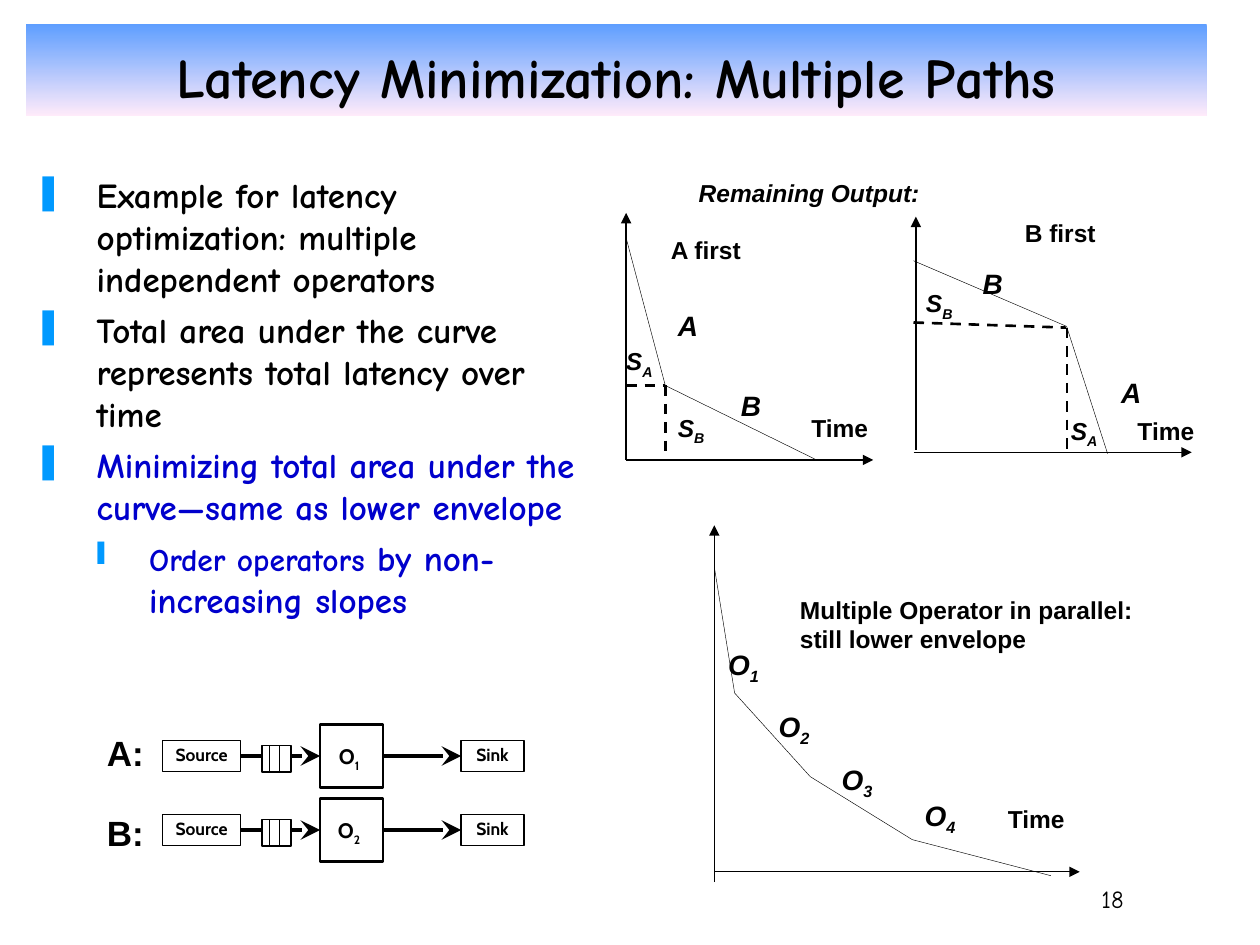
from dataclasses import dataclass
from itertools import pairwise

from lxml import etree
from pptx import Presentation
from pptx import util as u
from pptx.dml.color import RGBColor
from pptx.enum import dml, shapes, text
from pptx.oxml.ns import qn

Pt = u.Pt
Point = tuple[float, float]


@dataclass(frozen=True)
class Theme:
    ink: str = "000000"
    paper: str = "FFFFFF"
    accent: str = "0000CC"
    bullet: str = "0099FF"
    banner: tuple[str, str] = ("5E9EFF", "FFEBFA")
    prose: str = "Comic Neue"
    label: str = "Arial"
    node: str = "Cabin"
    title_size: float = 32
    body_size: float = 20
    sub_size: float = 18
    curve_size: float = 16
    label_size: float = 14
    operator_size: float = 12
    node_size: float = 10


THEME = Theme()


@dataclass(frozen=True)
class Label:
    words: str
    left: float
    top: float
    width: float = 48
    size: float = THEME.label_size
    subscript: str = ""
    italic: bool = False


@dataclass(frozen=True)
class Bullet:
    pieces: tuple[tuple[str, float], ...]
    color: str = THEME.ink
    level: int = 0


@dataclass(frozen=True)
class Plot:
    time_axis: tuple[Point, Point]
    output_axis: tuple[Point, Point]
    curve: tuple[Point, ...]
    guides: tuple[tuple[Point, Point], ...] = ()


@dataclass(frozen=True)
class Flow:
    name: str
    operator: str
    top: float
    name_top: float


BULLETS = (
    Bullet((("Example for latency optimization: multiple independent operators", THEME.body_size),)),
    Bullet((("Total area under the curve represents total latency over time", THEME.body_size),)),
    Bullet((("Minimizing total area under the curve—same as lower envelope", THEME.body_size),), THEME.accent),
    Bullet((("Order operators", THEME.sub_size), (" by non-increasing slopes", THEME.body_size)), THEME.accent, 1),
)
BULLET_LEVELS = (("❚", 36, 36), ("❙", 66, 30))  # character, margin, hanging

A_FIRST = Plot(
    ((357.8, 262.8), (499, 262.8)), ((357.8, 262.8), (357.8, 121.7)),
    ((357.8, 136), (380.2, 220.3), (466.6, 262.8)),
    (((357.8, 220.3), (380.2, 220.3)), ((380.2, 220.3), (380.2, 262.8))),
)
B_FIRST = Plot(
    ((522, 258.5), (681, 258.5)), ((523.4, 257), (523.4, 123.8)),
    ((522, 149), (609.5, 186.5), (632.9, 259.2)),
    (((609.8, 187.2), (609.8, 258.5)), ((522, 184.3), (609.1, 187.2))),
)
ENVELOPE = Plot(
    ((408.2, 498.2), (617, 498.2)), ((408.2, 504), (408.2, 300.2)),
    ((408.2, 324), (419.8, 396), (463, 443.8), (521.3, 479.8), (600.5, 500.4)),
)

LABELS = (
    Label("Remaining Output:", 392.2, 97.9, 150, italic=True),
    Label("A first", 376.2, 131, 70),
    Label("B first", 578.5, 121, 70),
    Label("Multiple Operator in parallel: still lower envelope", 450, 336.2, 221.8),
    *(Label("Time", left, top) for left, top in ((456.5, 232.6), (642.9, 234), (568.8, 455.8))),
    *(Label(name, left, top, size=THEME.curve_size, italic=True) for name, left, top in (
        ("A", 380.2, 172.8), ("B", 416.2, 218.2), ("A", 633.6, 211), ("B", 554.4, 149))),
    *(Label("S", left, top, subscript=name, italic=True) for name, left, top in (
        ("A", 350.6, 194.4), ("B", 380.2, 232.6), ("B", 522, 161.3), ("A", 604.8, 234))),
    *(Label("O", left, top, 54, THEME.curve_size, str(number), True) for number, (left, top) in enumerate(
        ((409, 366.5), (437.8, 401.8), (473.8, 432), (521.3, 452.9)), 1)),
)
FLOWS = (Flow("A:", "1", 414, 414.7), Flow("B:", "2", 456.3, 460))


def rgb(color: str) -> RGBColor:
    return RGBColor.from_string(color)


def style(run, size: float, face: str, color: str = THEME.ink, italic: bool = False) -> None:
    run.font.size, run.font.name = Pt(size), face
    run.font.bold, run.font.italic = True, italic
    run.font.color.rgb = rgb(color)


def write(paragraph, words: str, size: float, face: str, subscript: str = "", italic: bool = False) -> None:
    """Fill a paragraph with words and an optional lowered suffix."""
    paragraph.text = words
    if subscript:
        lowered = paragraph.add_run()
        lowered.text = subscript
        lowered._r.get_or_add_rPr().set("baseline", "-25000")
    for run in paragraph.runs:
        style(run, size, face, italic=italic)


def text_box(parent, left: float, top: float, width: float, height: float, wrap: bool = True):
    frame = parent.add_textbox(Pt(left), Pt(top), Pt(width), Pt(height)).text_frame
    frame.word_wrap = wrap
    return frame


def draw_label(parent, label: Label) -> None:
    frame = text_box(parent, label.left, label.top, label.width, 26, label.words != "Time")
    write(frame.paragraphs[0], label.words, label.size, THEME.label, label.subscript, label.italic)


def draw_line(parent, start: Point, end: Point, weight: float, head: str = "", size: str = "med",
              dashed: bool = False) -> None:
    line = parent.add_connector(shapes.MSO_CONNECTOR.STRAIGHT, *map(Pt, (*start, *end)))
    line.line.color.rgb = rgb(THEME.ink)
    line.line.width = Pt(weight)
    if dashed:
        line.line.dash_style = dml.MSO_LINE.DASH
    if head:
        etree.SubElement(line.line._get_or_add_ln(), qn("a:tailEnd"), type=head, w=size, len=size)
    etree.SubElement(line._element.spPr, qn("a:effectLst"))


def draw_box(parent, left: float, top: float, width: float, height: float, weight: float = 0.75):
    box = parent.add_shape(shapes.MSO_SHAPE.RECTANGLE, *map(Pt, (left, top, width, height)))
    box.shadow.inherit = False
    box.fill.solid()
    box.fill.fore_color.rgb = rgb(THEME.paper)
    if weight:
        box.line.color.rgb = rgb(THEME.ink)
        box.line.width = Pt(weight)
    else:
        box.line.fill.background()
    frame = box.text_frame
    frame.margin_left = frame.margin_right = frame.margin_top = frame.margin_bottom = Pt(2)
    frame.vertical_anchor = text.MSO_ANCHOR.TOP
    frame.paragraphs[0].alignment = text.PP_ALIGN.CENTER
    return box


def draw_plot(parent, plot: Plot) -> None:
    for axis in (plot.time_axis, plot.output_axis):
        draw_line(parent, *axis, 0.75, "triangle")
    for guide in plot.guides:
        draw_line(parent, *guide, 1.5, dashed=True)
    for start, end in pairwise(plot.curve):
        draw_line(parent, start, end, 0.25)


def draw_flow(parent, flow: Flow) -> None:
    """Draw source, queue, operator and sink in one row."""
    row = parent.add_group_shape().shapes
    middle, node_top = flow.top + 18, flow.top + 9
    draw_line(row, (137.5, middle), (182.9, middle), 2.25, "stealth", "lg")
    draw_box(row, 182.9, flow.top, 36, 36, 1.5)
    operator = draw_box(row, 185.8, node_top, 27.4, 18, 0)
    write(operator.text_frame.paragraphs[0], "O", THEME.operator_size, THEME.node, flow.operator)
    for words, left, width in (("Source", 92.9, 44.6), ("Sink", 263.5, 36)):
        node = draw_box(row, left, node_top, width, 18)
        write(node.text_frame.paragraphs[0], words, THEME.node_size, THEME.node)
    draw_line(row, (218.9, middle), (263.5, middle), 2.25, "stealth", "lg")
    draw_box(row, 149.8, flow.top + 12, 16.6, 15.2)
    for divider in (154.1, 159.8):
        draw_line(row, (divider, flow.top + 12), (divider, flow.top + 27.2), 0.75)
    name = text_box(row, 54, flow.name_top, 35.3, 31.7, wrap=False).paragraphs[0]
    name.alignment = text.PP_ALIGN.CENTER
    write(name, flow.name, THEME.body_size, THEME.label)


def draw_title(parent) -> None:
    banner = draw_box(parent, 15, 13.7, 674.6, 52.6, 0)
    banner.fill.gradient()
    banner.fill.gradient_angle = 270
    for stop, color in zip(banner.fill.gradient_stops, THEME.banner):
        stop.color.rgb = rgb(color)
    frame = banner.text_frame
    frame.margin_bottom = Pt(3.6)
    frame.vertical_anchor = text.MSO_ANCHOR.BOTTOM
    write(frame.paragraphs[0], "Latency Minimization: Multiple Paths", THEME.title_size, THEME.prose)


def draw_bullets(parent) -> None:
    frame = text_box(parent, 12.2, 95.8, 327.6, 443.5)
    for index, bullet in enumerate(BULLETS):
        paragraph = frame.add_paragraph() if index else frame.paragraphs[0]
        mark, margin, hanging = BULLET_LEVELS[bullet.level]
        properties = paragraph._p.get_or_add_pPr()
        properties.set("marL", str(Pt(margin)))
        properties.set("indent", str(-Pt(hanging)))
        mark_color = etree.SubElement(properties, qn("a:buClr"))
        etree.SubElement(mark_color, qn("a:srgbClr"), val=THEME.bullet)
        etree.SubElement(properties, qn("a:buChar"), char=mark)
        paragraph.level = bullet.level
        if index:
            paragraph.space_before = Pt(5)
        for words, size in bullet.pieces:
            run = paragraph.add_run()
            run.text = words
            style(run, size, THEME.prose, bullet.color)


def draw_page_number(parent) -> None:
    frame = text_box(parent, 558, 486, 84.2, 36)
    frame.margin_right = frame.margin_bottom = 0
    frame.vertical_anchor = text.MSO_ANCHOR.BOTTOM
    number = frame.paragraphs[0]
    number.alignment = text.PP_ALIGN.RIGHT
    write(number, "18", THEME.label_size, THEME.prose)
    number.runs[0].font.bold = False


def main() -> None:
    deck = Presentation()
    deck.slide_width, deck.slide_height = Pt(720), Pt(540)
    canvas = deck.slides.add_slide(deck.slide_layouts[6]).shapes
    draw_page_number(canvas)
    draw_title(canvas)
    draw_bullets(canvas)
    for flow in FLOWS:
        draw_flow(canvas, flow)
    for plot in (A_FIRST, B_FIRST, ENVELOPE):
        draw_plot(canvas, plot)
    for label in LABELS:
        draw_label(canvas, label)
    deck.save("out.pptx")


if __name__ == "__main__":
    main()
